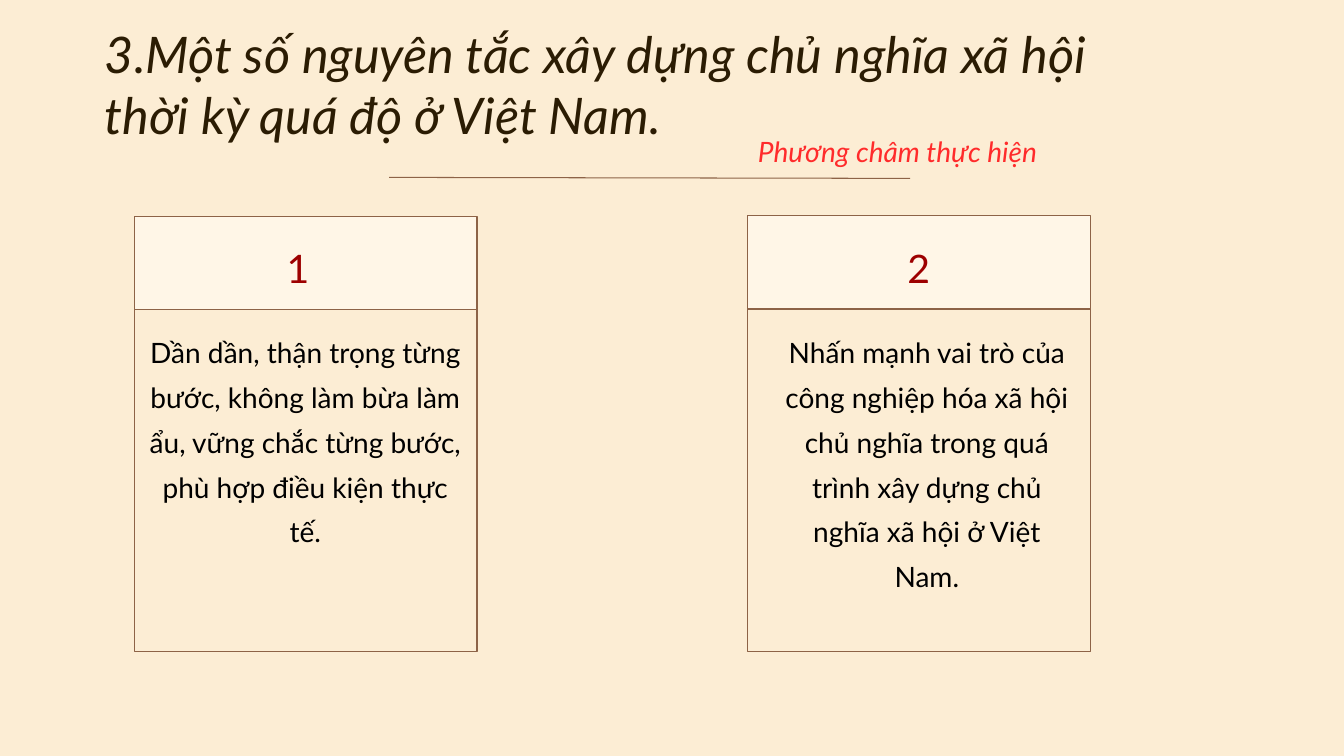
from dataclasses import dataclass

from lxml.etree import SubElement
from pptx import Presentation
from pptx.dml.color import RGBColor
from pptx.enum.shapes import MSO_CONNECTOR, MSO_SHAPE
from pptx.enum.text import MSO_ANCHOR, MSO_AUTO_SIZE, PP_ALIGN
from pptx.oxml.ns import qn
from pptx.util import Inches, Pt

HEADING = "3.Một số nguyên tắc xây dựng chủ nghĩa xã hội thời kỳ quá độ ở Việt Nam."
MOTTO = "Phương châm thực hiện"
PRINCIPLES = [
    {
        "number": "1",
        "text": "Dần dần, thận trọng từng bước, không làm bừa làm ẩu, "
                "vững chắc từng bước, phù hợp điều kiện thực tế.",
        "column": 4, "header_row": 6.45,
        "number_span": (8.19, 1.35), "text_span": (4.38, 9.42),
    },
    {
        "number": "2",
        "text": "Nhấn mạnh vai trò của công nghiệp hóa xã hội chủ nghĩa trong quá "
                "trình xây dựng chủ nghĩa xã hội ở Việt Nam.",
        "column": 22.25, "header_row": 6.42,
        "number_span": (26.73, 1.23), "text_span": (23.22, 8.73),
    },
]

SLIDE_WIDTH, SLIDE_HEIGHT = Inches(13.33), Inches(7.5)
COLUMNS, ROWS = 40, 22.5
CARD_SIDE, HEADER_HEIGHT, BODY_ROW = 10.2, 2.76, 9.2


@dataclass(frozen=True)
class Theme:
    font: str = "Lato"
    background: str = "FCEDD4"
    header: str = "FFF6E7"
    border: str = "8D6347"
    heading: str = "2B1C03"
    motto: str = "FF2B2B"
    number: str = "9D0000"
    body: str = "000000"
    heading_size: int = 36
    number_size: int = 28
    body_size: int = 20
    border_width: float = 1
    rule_width: float = 0.75


THEME = Theme()


def across(columns):
    return round(SLIDE_WIDTH * columns / COLUMNS)


def down(rows):
    return round(SLIDE_HEIGHT * rows / ROWS)


def cell(column, row, width, height):
    return across(column), down(row), across(width), down(height)


def write(holder, text, *, size, color, align=PP_ALIGN.LEFT, italic=False, spacing=None):
    frame = holder.text_frame
    frame.margin_left = frame.margin_right = frame.margin_top = frame.margin_bottom = 0
    frame.word_wrap = True
    frame.auto_size = MSO_AUTO_SIZE.NONE
    frame.vertical_anchor = MSO_ANCHOR.TOP
    paragraph = frame.paragraphs[0]
    paragraph.alignment = align
    if spacing:
        paragraph.line_spacing = Pt(spacing)
    run = paragraph.add_run()
    run.text = text
    run.font.name = THEME.font
    run.font.size = Pt(size)
    run.font.italic = italic
    run.font.color.rgb = RGBColor.from_string(color)


def add_panel(slide, area, fill=None):
    panel = slide.shapes.add_shape(MSO_SHAPE.RECTANGLE, *area)
    panel.shadow.inherit = False
    if fill:
        panel.fill.solid()
        panel.fill.fore_color.rgb = RGBColor.from_string(fill)
    else:
        panel.fill.background()
    panel.line.color.rgb = RGBColor.from_string(THEME.border)
    panel.line.width = Pt(THEME.border_width)


def add_principle(slide, principle):
    column, header_row = principle["column"], principle["header_row"]
    add_panel(slide, cell(column, BODY_ROW, CARD_SIDE, CARD_SIDE))
    add_panel(slide, cell(column, header_row, CARD_SIDE, HEADER_HEIGHT), THEME.header)
    left, width = principle["number_span"]
    number = slide.shapes.add_textbox(*cell(left, 7.05, width, 1.5))
    write(number, principle["number"], size=THEME.number_size, color=THEME.number,
          align=PP_ALIGN.CENTER, spacing=38.9)
    left, width = principle["text_span"]
    body = slide.shapes.add_textbox(*cell(left, 9.66, width, 7.92))
    write(body, principle["text"], size=THEME.body_size, color=THEME.body,
          align=PP_ALIGN.CENTER, spacing=32)


def add_rule(slide):
    rule = slide.shapes.add_connector(
        MSO_CONNECTOR.STRAIGHT, across(11.58), down(5.28), across(27.09), down(5.31))
    rule.line.color.rgb = RGBColor.from_string(THEME.border)
    rule.line.width = Pt(THEME.rule_width)
    SubElement(rule._element.spPr, qn("a:effectLst"))


def main():
    deck = Presentation()
    deck.slide_width, deck.slide_height = SLIDE_WIDTH, SLIDE_HEIGHT
    slide = deck.slides.add_slide(deck.slide_layouts[5])
    slide.background.fill.solid()
    slide.background.fill.fore_color.rgb = RGBColor.from_string(THEME.background)

    heading = slide.shapes.title
    heading.left, heading.top, heading.width, heading.height = cell(3.12, 0.69, 31.05, 3.63)
    write(heading, HEADING, size=THEME.heading_size, color=THEME.heading, italic=True)

    add_rule(slide)
    for principle in PRINCIPLES:
        add_principle(slide, principle)

    motto = slide.shapes.add_textbox(*cell(22.56, 3.99, 9, 1.02))
    write(motto, MOTTO, size=THEME.body_size, color=THEME.motto, italic=True)

    deck.save("out.pptx")


if __name__ == "__main__":
    main()
